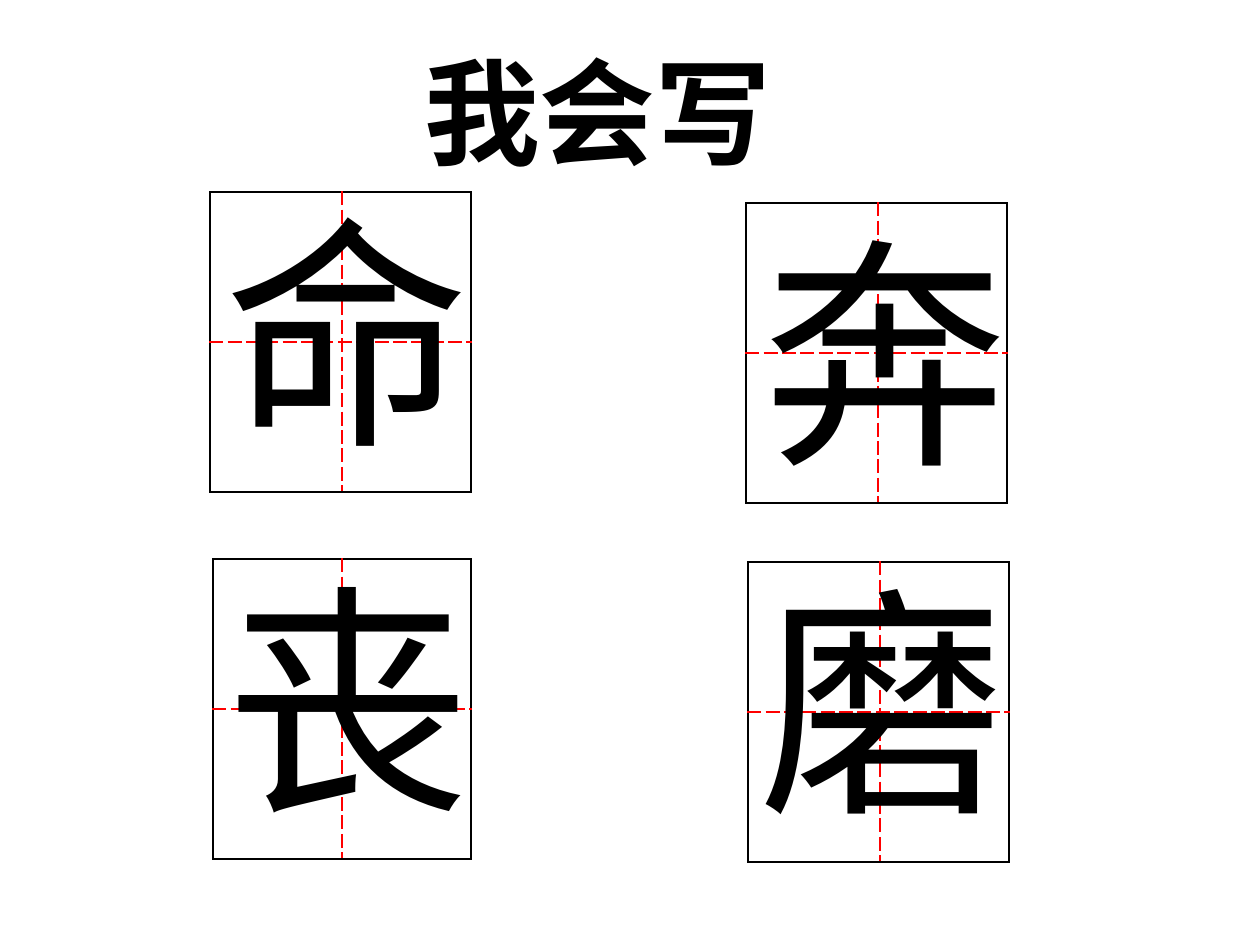
"""Build a character-writing practice slide with four ruled squares."""
from lxml import etree
from pptx import Presentation
from pptx.dml.color import RGBColor
from pptx.enum.text import MSO_AUTO_SIZE
from pptx.oxml.ns import qn
from pptx.util import Emu, Pt

FIT_SHAPE = MSO_AUTO_SIZE.SHAPE_TO_FIT_TEXT
SCALE = 914400 / 126
COLORS = {"ink": "000000", "guide": "FF0000"}
LINE_WIDTH = Pt(1.08)
ROW_HEIGHT = 150
RIGHT_WIDTH = 129
SQUARES = [
    ("命", 210, 192, 132, 212, 175),
    ("丧", 213, 559, 129, 213, 542),
    ("奔", 746, 203, 132, 750, 195),
    ("磨", 748, 562, 132, 747, 543),
]


def px(*lengths):
    return [Emu(round(length * SCALE)) for length in lengths]


def add_text(page, text, frame, size, bold):
    box = page.shapes.add_textbox(*px(*frame))
    box.text_frame.word_wrap = False
    box.text_frame.auto_size = FIT_SHAPE
    para = box.text_frame.paragraphs[0]
    para.text = text
    para.font.name = "Arial"
    para.font.size = Pt(size)
    para.font.bold = bold
    para.font.color.rgb = RGBColor.from_string(COLORS["ink"])


deck = Presentation()
deck.slide_width, deck.slide_height = px(1260, 945)
page = deck.slides.add_slide(deck.slide_layouts[6])

add_text(page, "我会写", (412, 35, 372, 151), 66, True)

for character, left, top, left_width, text_left, text_top in SQUARES:
    frame = px(left, top, left_width + RIGHT_WIDTH, 2 * ROW_HEIGHT)
    table = page.shapes.add_table(2, 2, *frame).table
    table.first_row = table.horz_banding = False
    for column, width in zip(table.columns, px(left_width, RIGHT_WIDTH)):
        column.width = width
    for row_index, row in enumerate(table.rows):
        row.height = px(ROW_HEIGHT)[0]
        for column_index, cell in enumerate(row.cells):
            outer_sides = ("LR"[column_index], "TB"[row_index])
            properties = cell._tc.get_or_add_tcPr()
            for side in "LRTB":
                outer = side in outer_sides
                line = etree.SubElement(properties, qn(f"a:ln{side}"), w=str(LINE_WIDTH))
                fill = etree.SubElement(line, qn("a:solidFill"))
                color = COLORS["ink" if outer else "guide"]
                etree.SubElement(fill, qn("a:srgbClr"), val=color)
                etree.SubElement(line, qn("a:prstDash"), val="solid" if outer else "dash")
            cell.fill.background()

for character, left, top, left_width, text_left, text_top in SQUARES:
    add_text(page, character, (text_left, text_top, 270, 307), 140, False)

deck.save("out.pptx")
